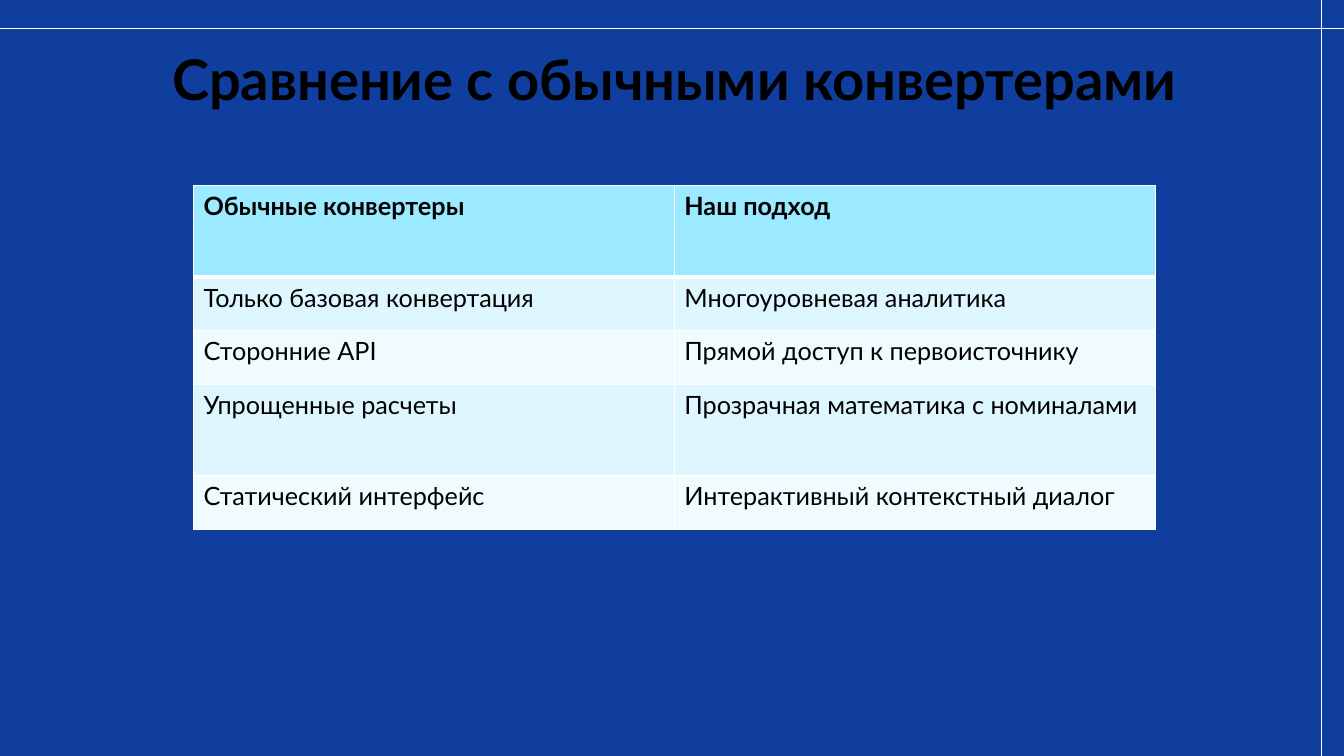
from lxml.etree import SubElement
from pptx import Presentation
from pptx.dml.color import RGBColor
from pptx.enum.shapes import MSO_CONNECTOR
from pptx.enum.text import MSO_ANCHOR, PP_ALIGN
from pptx.oxml import parse_xml
from pptx.oxml.ns import nsdecls, qn
from pptx.util import Pt

WIDTH, HEIGHT = 960, 540
BACKGROUND, WHITE, BLACK = "0F3E9F", "FFFFFF", "000000"
HEADER_FILL, BANDS = "9BEAFF", ("DEF7FF", "EFFBFF")
TITLE = "Сравнение с обычными конвертерами"
COMPARISON = [
    ("Обычные конвертеры", "Наш подход"),
    ("Только базовая конвертация", "Многоуровневая аналитика"),
    ("Сторонние API", "Прямой доступ к первоисточнику"),
    ("Упрощенные расчеты", "Прозрачная математика с номиналами"),
    ("Статический интерфейс", "Интерактивный контекстный диалог"),
]
ROW_HEIGHTS = (65.6, 38.2, 38.2, 65.6, 38.2)


def color(hex_value):
    """Return the colour for a hex string."""
    return RGBColor.from_string(hex_value)


def write(paragraph, text, size, bold):
    """Put formatted text in a paragraph."""
    run = paragraph.add_run()
    run.text = text
    for name, value in {"name": "Lato", "size": Pt(size), "bold": bold}.items():
        setattr(run.font, name, value)
    run.font.color.rgb = color(BLACK)


def add_guides(slide, left, top, width, height):
    """Draw the thin rules along the top and right of the box."""
    rule_y, rule_x = top + 20.2, left + width - 16
    for ends in ((left, rule_y, left + width, rule_y),
                 (rule_x, top, rule_x, top + height)):
        guide = slide.shapes.add_connector(MSO_CONNECTOR.STRAIGHT, *map(Pt, ends))
        guide.line.color.rgb = color(WHITE)
        guide.line.width = Pt(0.5)
        SubElement(guide._element.spPr, qn("a:effectLst"))


def add_title(slide, left, top, width, height):
    """Place the centred heading in the box."""
    frame = slide.shapes.add_textbox(*map(Pt, (left, top, width, height))).text_frame
    layout = {"word_wrap": True, "vertical_anchor": MSO_ANCHOR.BOTTOM,
              "margin_left": 0, "margin_top": 0, "margin_right": 0, "margin_bottom": 0}
    for name, value in layout.items():
        setattr(frame, name, value)
    heading = frame.paragraphs[0]
    heading.alignment = PP_ALIGN.CENTER
    heading.line_spacing = 0.9
    write(heading, TITLE, 40, True)


def add_borders(cell, widths):
    """Give a cell white borders of the widths listed by side."""
    properties = cell._tc.get_or_add_tcPr()
    for index, (side, width) in enumerate(widths.items()):
        properties.insert(index, parse_xml(
            f'<a:ln{side} {nsdecls("a")} w="{Pt(width)}"><a:solidFill>'
            f'<a:srgbClr val="{WHITE}"/></a:solidFill></a:ln{side}>'))


def add_comparison(slide, left, top, width, height):
    """Build the two-column comparison table in the box."""
    table = slide.shapes.add_table(len(COMPARISON), 2,
                                   *map(Pt, (left, top, width, height))).table
    for column in table.columns:
        column.width = Pt(width / 2)
    for index, entries in enumerate(COMPARISON):
        table.rows[index].height = Pt(ROW_HEIGHTS[index])
        header = index == 0
        borders = {"L": 1, "R": 1, "T": 3 if index == 1 else 1, "B": 3 if header else 1}
        for column, entry in enumerate(entries):
            cell = table.cell(index, column)
            cell.fill.solid()
            cell.fill.fore_color.rgb = color(HEADER_FILL if header else BANDS[(index - 1) % 2])
            add_borders(cell, borders)
            write(cell.text_frame.paragraphs[0], entry, 18, header)


def main():
    """Build and save the slide."""
    deck = Presentation()
    deck.slide_width, deck.slide_height = Pt(WIDTH), Pt(HEIGHT)
    slide = deck.slides.add_slide(deck.slide_layouts[6])
    slide.background.fill.solid()
    slide.background.fill.fore_color.rgb = color(BACKGROUND)
    add_guides(slide, 0, 0, WIDTH, HEIGHT)
    add_title(slide, 66.2, 28, 831, 52.6)
    add_comparison(slide, 138.2, 132.5, 687, sum(ROW_HEIGHTS))
    deck.save("out.pptx")


if __name__ == "__main__":
    main()
